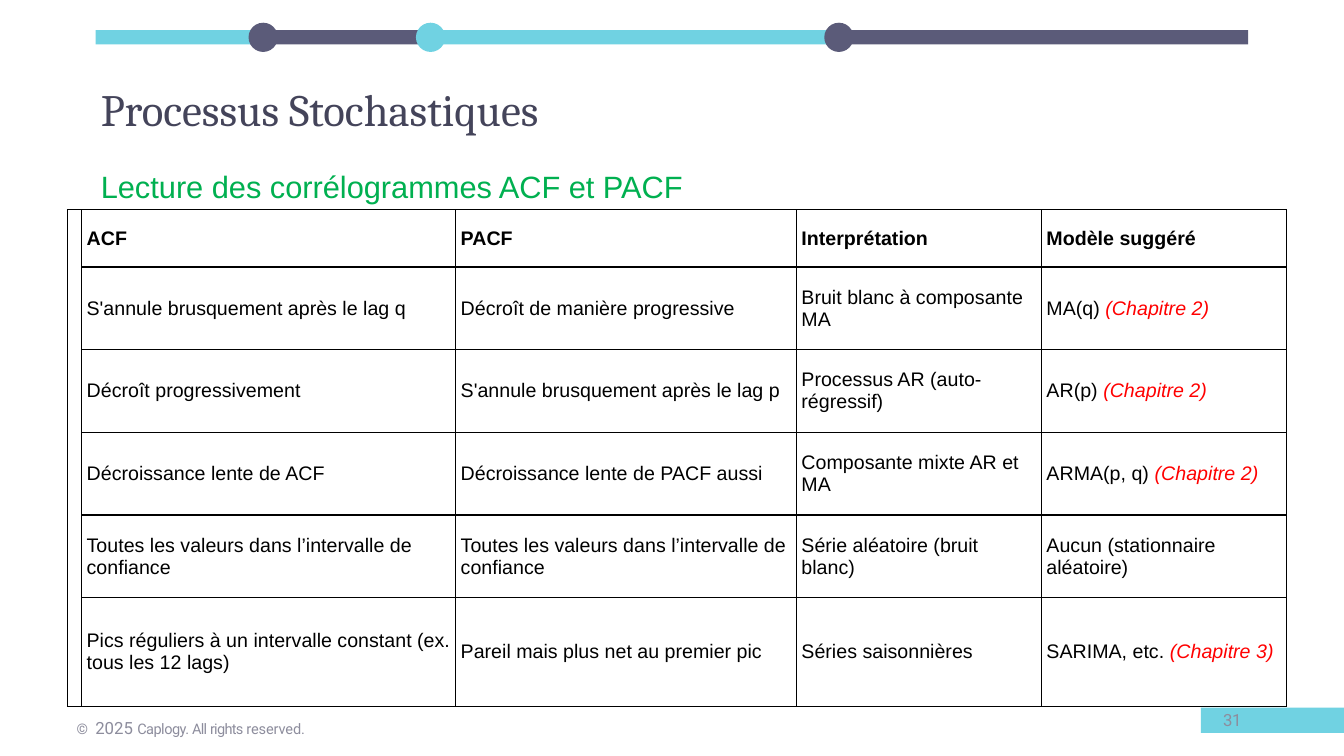
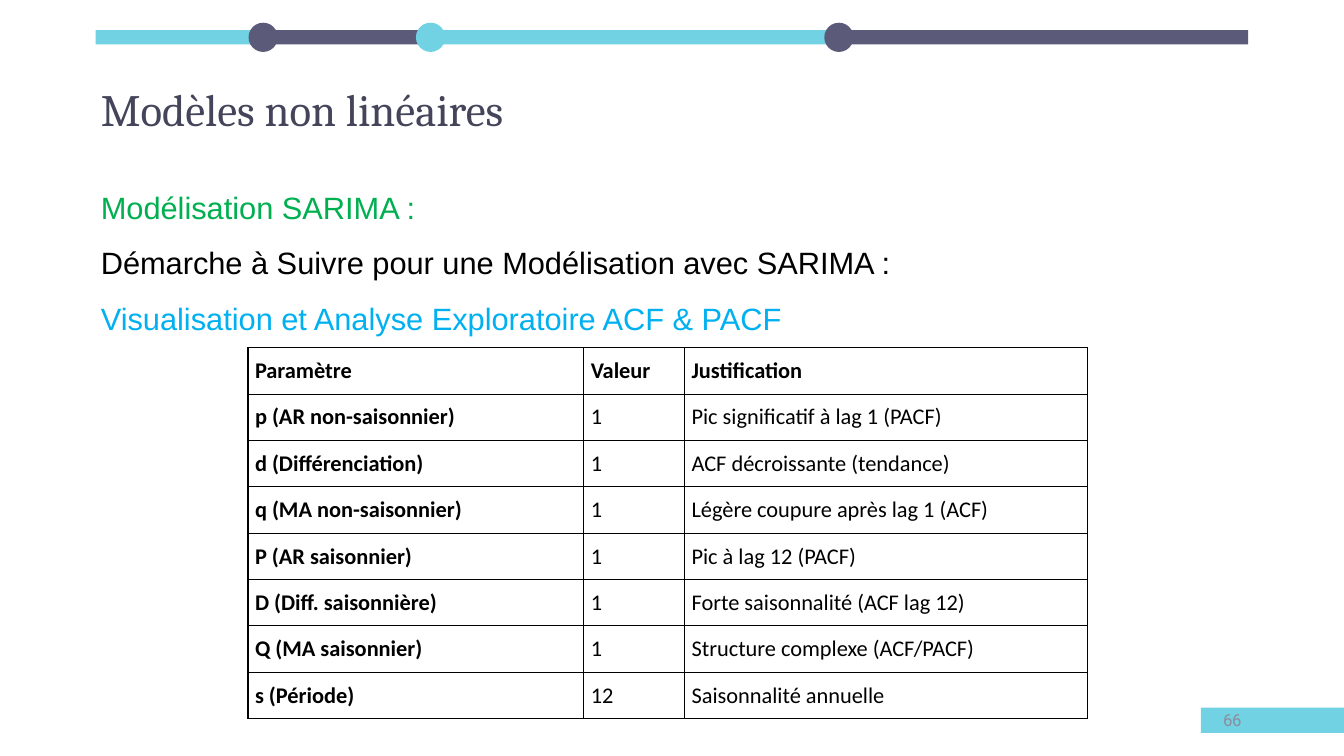
"""Build two slides on time-series models, each with a table under a beaded band."""
import dataclasses
import itertools

import lxml.etree
import pptx
import pptx.dml.color
import pptx.enum.shapes
import pptx.enum.text
import pptx.oxml.ns
import pptx.util

Inches = pptx.util.Inches
Pt = pptx.util.Pt
RGBColor = pptx.dml.color.RGBColor
Shape = pptx.enum.shapes.MSO_SHAPE
Align = pptx.enum.text.PP_ALIGN
Anchor = pptx.enum.text.MSO_ANCHOR

AQUA = RGBColor(0x70, 0xD2, 0xE2)
SLATE = RGBColor(0x5B, 0x5B, 0x79)
TITLE = RGBColor(0x44, 0x44, 0x5A)
GREY = RGBColor(0x8D, 0x8D, 0x9D)
GREEN = RGBColor(0x00, 0xB0, 0x50)
BLUE = RGBColor(0x00, 0xB0, 0xF0)
RED = RGBColor(0xFF, 0x00, 0x00)
BLACK = RGBColor(0x00, 0x00, 0x00)

JOINTS = (0.95, 2.61, 4.27, 8.32, 12.38)
BAND_TOP, BAND_HEIGHT, DOT = 0.3, 0.14, 0.29


@dataclasses.dataclass(frozen=True)
class Piece:
    """A run of the copyright line: text, size, baseline percent, spacing."""
    text: str
    size: int = 18
    baseline: int = 2
    spacing: float = 0


@dataclasses.dataclass(frozen=True)
class Grid:
    """A table; a bar in a cell text starts its red note."""
    left: float
    top: float
    cols: tuple[float, ...]
    heights: tuple[float, ...]
    rows: tuple[tuple[str, ...], ...]
    font: str
    size: int
    margin_x: float
    margin_y: float
    bold_first_col: bool = False
    merge_first_col: bool = False


@dataclasses.dataclass(frozen=True)
class Page:
    """The content of one slide."""
    title: str
    number: int
    body_top: float
    body_height: float
    lines: tuple[tuple[str, RGBColor], ...]
    grid: Grid
    copyright: tuple[Piece, ...] = ()


def style(r, font: str, size: int, color: RGBColor, bold: bool = False, italic: bool = False) -> None:
    """Format one run."""
    r.font.name, r.font.size = font, Pt(size)
    r.font.color.rgb = color
    r.font.bold, r.font.italic = bold, italic


def set_spacing(r, points: float) -> None:
    """Set the letter spacing of a run."""
    r._r.get_or_add_rPr().set("spc", str(round(points * 100)))


def set_frame(tf, inset_top: float = 0) -> None:
    """Give a text frame its shared wrapping, anchor and insets."""
    tf.word_wrap = True
    tf.auto_size = pptx.enum.text.MSO_AUTO_SIZE.SHAPE_TO_FIT_TEXT
    tf.vertical_anchor = Anchor.TOP
    tf.margin_left = tf.margin_right = tf.margin_bottom = 0
    tf.margin_top = Inches(inset_top)


def add_text(s, left: float, top: float, width: float, height: float, inset_top: float = 0):
    """Add a text box and return its frame."""
    tf = s.shapes.add_textbox(Inches(left), Inches(top), Inches(width), Inches(height)).text_frame
    set_frame(tf, inset_top)
    return tf


def add_block(s, kind, left: float, top: float, width: float, height: float, color: RGBColor) -> None:
    """Add a flat filled shape."""
    sp = s.shapes.add_shape(kind, Inches(left), Inches(top), Inches(width), Inches(height))
    sp.shadow.inherit = False
    sp.fill.solid()
    sp.fill.fore_color.rgb = color
    sp.line.fill.background()


def add_frame(s, page: Page) -> None:
    """Draw the band, title and page number shared by all slides."""
    for (start, end), color in zip(itertools.pairwise(JOINTS), itertools.cycle((AQUA, SLATE))):
        add_block(s, Shape.RECTANGLE, start, BAND_TOP, end - start, BAND_HEIGHT, color)
    for x, color in zip(JOINTS[1:-1], itertools.cycle((SLATE, AQUA))):
        add_block(s, Shape.OVAL, x - DOT / 2, BAND_TOP + (BAND_HEIGHT - DOT) / 2, DOT, DOT, color)
    add_block(s, Shape.RECTANGLE, 11.91, 7.02, 1.42, 0.25, AQUA)

    sp = s.shapes.title
    sp.left, sp.top, sp.width, sp.height = Inches(1), Inches(0.8), Inches(5.41), Inches(0.55)
    sp.text_frame.text = page.title
    set_frame(sp.text_frame, 0.01)
    p = sp.text_frame.paragraphs[0]
    p.alignment = Align.LEFT
    style(p.runs[0], "Cambria", 32, TITLE)

    tf = add_text(s, 12.13, 7.04, 0.25, 0.23)
    tf.text = str(page.number)
    r = tf.paragraphs[0].runs[0]
    style(r, "Roboto", 12, GREY)
    set_spacing(r, -0.2)


def add_copyright(s, pieces: tuple[Piece, ...]) -> None:
    """Write the copyright line."""
    p = add_text(s, 0.76, 7.03, 2.7, 0.24, 0.01).paragraphs[0]
    for piece in pieces:
        r = p.add_run()
        r.text = piece.text
        style(r, "Roboto", piece.size, GREY)
        set_spacing(r, piece.spacing)
        r._r.get_or_add_rPr().set("baseline", str(piece.baseline * 1000))


def add_body(s, page: Page) -> None:
    """Write the coloured heading lines above the table."""
    tf = add_text(s, 1, page.body_top, 11.25, page.body_height, 0.11)
    tf.text = "\n".join(text for text, _ in page.lines)
    for p, (_, color) in zip(tf.paragraphs, page.lines):
        p.alignment, p.line_spacing = Align.JUSTIFY, 1.5
        style(p.runs[0], "Arial", 22, color)


def set_borders(cell) -> None:
    """Draw a one-point black line on each side of a cell."""
    qn = pptx.oxml.ns.qn
    tc_pr = cell._tc.get_or_add_tcPr()
    for side in ("a:lnL", "a:lnR", "a:lnT", "a:lnB"):
        ln = lxml.etree.SubElement(tc_pr, qn(side), w=str(Pt(1)))
        fill = lxml.etree.SubElement(ln, qn("a:solidFill"))
        lxml.etree.SubElement(fill, qn("a:srgbClr"), val=str(BLACK))


def fill_cell(cell, text: str, grid: Grid, bold: bool) -> None:
    """Write and format one table cell."""
    set_borders(cell)
    cell.fill.background()
    cell.vertical_anchor = Anchor.MIDDLE
    cell.margin_left = cell.margin_right = Inches(grid.margin_x)
    cell.margin_top = cell.margin_bottom = Inches(grid.margin_y)
    main, _, note = text.partition("|")
    p = cell.text_frame.paragraphs[0]
    for part, color, italic in ((main, BLACK, False), (note, RED, True)):
        if part:
            r = p.add_run()
            r.text = part
            style(r, grid.font, grid.size, color, bold, italic)


def add_grid(s, grid: Grid) -> None:
    """Draw a table."""
    table = s.shapes.add_table(
        len(grid.heights), len(grid.cols), Inches(grid.left), Inches(grid.top),
        Inches(sum(grid.cols)), Inches(sum(grid.heights))).table
    table.first_row = table.horz_banding = False
    for col, width in zip(table.columns, grid.cols):
        col.width = Inches(width)
    for row, height in zip(table.rows, grid.heights):
        row.height = Inches(height)
    for i, texts in enumerate(grid.rows):
        for j, text in enumerate(texts):
            fill_cell(table.cell(i, j), text, grid, i == 0 or (j == 0 and grid.bold_first_col))
    if grid.merge_first_col:
        table.cell(0, 0).merge(table.cell(len(grid.rows) - 1, 0))


CORRELOGRAMS = Grid(
    0.67, 2.08, (0.12, 3.71, 3.38, 2.43, 2.43), (0.57, 0.82, 0.82, 0.82, 0.82, 1.08),
    (
        ("", "ACF", "PACF", "Interprétation", "Modèle suggéré"),
        ("", "S'annule brusquement après le lag q", "Décroît de manière progressive",
         "Bruit blanc à composante MA", "MA(q) |(Chapitre 2)"),
        ("", "Décroît progressivement", "S'annule brusquement après le lag p",
         "Processus AR (auto-régressif)", "AR(p) |(Chapitre 2)"),
        ("", "Décroissance lente de ACF", "Décroissance lente de PACF aussi",
         "Composante mixte AR et MA", "ARMA(p, q) |(Chapitre 2)"),
        ("", "Toutes les valeurs dans l’intervalle de confiance",
         "Toutes les valeurs dans l’intervalle de confiance",
         "Série aléatoire (bruit blanc)", "Aucun (stationnaire aléatoire)"),
        ("", "Pics réguliers à un intervalle constant (ex. tous les 12 lags)",
         "Pareil mais plus net au premier pic", "Séries saisonnières", "SARIMA, etc. |(Chapitre 3)"),
    ),
    "Arial", 14, 0.05, 0.02, merge_first_col=True)

PARAMETERS = Grid(
    2.46, 3.45, (3.33, 1, 4), (0.46,) * 8,
    (
        ("Paramètre", "Valeur", "Justification"),
        ("p (AR non-saisonnier)", "1", "Pic significatif à lag 1 (PACF)"),
        ("d (Différenciation)", "1", "ACF décroissante (tendance)"),
        ("q (MA non-saisonnier)", "1", "Légère coupure après lag 1 (ACF)"),
        ("P (AR saisonnier)", "1", "Pic à lag 12 (PACF)"),
        ("D (Diff. saisonnière)", "1", "Forte saisonnalité (ACF lag 12)"),
        ("Q (MA saisonnier)", "1", "Structure complexe (ACF/PACF)"),
        ("s (Période)", "12", "Saisonnalité annuelle"),
    ),
    "Calibri", 16, 0.07, 0.07, bold_first_col=True)

COPYRIGHT = (
    Piece("©  "), Piece("2025 ", 12, 0), Piece("Caplogy. ", spacing=-0.4),
    Piece("All ", spacing=-0.6), Piece("rights ", spacing=-0.5), Piece("reserved.", spacing=-0.1),
)

PAGES = (
    Page("Processus Stochastiques", 31, 1.37, 0.6,
         (("Lecture des corrélogrammes ACF et PACF", GREEN),), CORRELOGRAMS, COPYRIGHT),
    Page("Modèles non linéaires", 66, 1.58, 5.72,
         (("Modélisation SARIMA :", GREEN),
          ("Démarche à Suivre pour une Modélisation avec SARIMA :", BLACK),
          ("Visualisation et Analyse Exploratoire ACF & PACF", BLUE)), PARAMETERS),
)


def main() -> None:
    """Build and save the presentation."""
    prs = pptx.Presentation()
    prs.slide_width, prs.slide_height = Inches(13.33), Inches(7.5)
    for page in PAGES:
        s = prs.slides.add_slide(prs.slide_layouts.get_by_name("Title Only"))
        add_frame(s, page)
        if page.copyright:
            add_copyright(s, page.copyright)
        add_body(s, page)
        add_grid(s, page.grid)
    prs.save("out.pptx")


if __name__ == "__main__":
    main()
